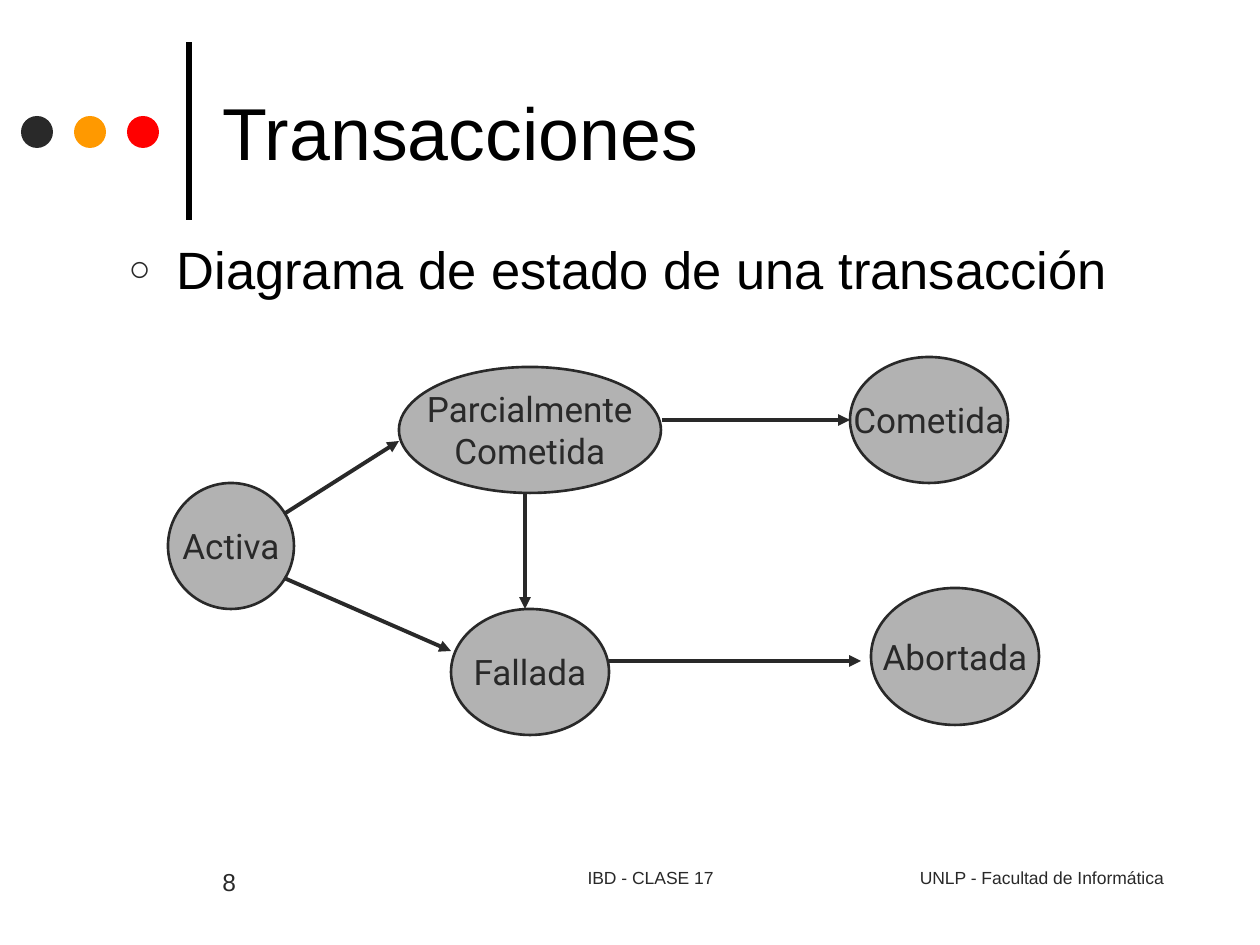
from dataclasses import dataclass

from lxml import etree
from pptx import Presentation
from pptx import util as u
from pptx.dml.color import RGBColor
from pptx.enum import shapes, text
from pptx.oxml.ns import qn

EMU_PER_PX = 914400 / 126

BLACK = RGBColor(0x00, 0x00, 0x00)
CHARCOAL = RGBColor(0x29, 0x29, 0x29)
ORANGE = RGBColor(0xFF, 0x99, 0x00)
RED = RGBColor(0xFF, 0x00, 0x00)
GREY = RGBColor(0xB2, 0xB2, 0xB2)

LEFT, CENTER, RIGHT = text.PP_ALIGN.LEFT, text.PP_ALIGN.CENTER, text.PP_ALIGN.RIGHT


@dataclass(frozen=True)
class State:
    label: str
    left: int
    top: int
    width: int
    height: int


@dataclass(frozen=True)
class Transition:
    start: tuple[int, int]
    end: tuple[int, int]


@dataclass(frozen=True)
class FooterItem:
    wording: str
    left: int
    width: int
    size: int
    align: text.PP_ALIGN


STATES = [
    State("Activa", 168, 483, 126, 126),
    State("Fallada", 451, 609, 158, 126),
    State("Abortada", 871, 588, 168, 137),
    State("Parcialmente\nCometida", 399, 367, 262, 126),
    State("Cometida", 850, 357, 158, 126),
]
TRANSITIONS = [
    Transition((284, 514), (399, 441)),
    Transition((662, 420), (850, 420)),
    Transition((525, 494), (525, 609)),
    Transition((284, 578), (451, 651)),
    Transition((609, 661), (861, 661)),
]
FOOTER = [
    FooterItem("IBD - CLASE 17", 451, 399, 10, CENTER),
    FooterItem("8", 210, 179, 14, LEFT),
    FooterItem("UNLP - Facultad de Informática", 838, 338, 10, RIGHT),
]


def px(length: int) -> int:
    return round(length * EMU_PER_PX)


def place(item, left: int, top: int, width: int, height: int) -> None:
    item.left, item.top = px(left), px(top)
    item.width, item.height = px(width), px(height)


def write(frame, wording: str, font: str, size: int, color: RGBColor, align) -> None:
    frame.text = wording
    for paragraph in frame.paragraphs:
        paragraph.alignment = align
        for run in paragraph.runs:
            run.font.name = font
            run.font.size = u.Pt(size)
            run.font.color.rgb = color


def draw_ellipse(slide, left: int, top: int, width: int, height: int, fill: RGBColor):
    ellipse = slide.shapes.add_shape(
        shapes.MSO_SHAPE.OVAL, px(left), px(top), px(width), px(height))
    ellipse.shadow.inherit = False
    ellipse.fill.solid()
    ellipse.fill.fore_color.rgb = fill
    ellipse.line.fill.background()
    return ellipse


def draw_line(slide, start: tuple[int, int], end: tuple[int, int],
              color: RGBColor, width: float):
    line = slide.shapes.add_connector(
        shapes.MSO_CONNECTOR.STRAIGHT, *map(px, start), *map(px, end))
    line.line.color.rgb = color
    line.line.width = u.Pt(width)
    etree.SubElement(line._element.spPr, qn("a:effectLst"))
    return line


def draw_state(slide, state: State) -> None:
    ellipse = draw_ellipse(
        slide, state.left, state.top, state.width, state.height, GREY)
    ellipse.line.color.rgb = CHARCOAL
    ellipse.line.width = u.Pt(1.5)
    frame = ellipse.text_frame
    frame.word_wrap = False
    frame.vertical_anchor = text.MSO_ANCHOR.MIDDLE
    write(frame, state.label, "Roboto", 20, CHARCOAL, CENTER)


def draw_transition(slide, transition: Transition) -> None:
    arrow = draw_line(slide, transition.start, transition.end, CHARCOAL, 2.25)
    etree.SubElement(arrow.line._get_or_add_ln(), qn("a:tailEnd"), type="triangle")


def draw_footer_item(slide, item: FooterItem) -> None:
    box = slide.shapes.add_textbox(px(item.left), px(861), px(item.width), px(63))
    box.text_frame.word_wrap = True
    write(box.text_frame, item.wording, "Arial", item.size, CHARCOAL, item.align)


def add_ring_bullet(paragraph) -> None:
    properties = paragraph._p.get_or_add_pPr()
    properties.set("marL", str(px(48)))
    properties.set("indent", str(-px(48)))
    bullet_color = etree.SubElement(properties, qn("a:buClr"))
    etree.SubElement(bullet_color, qn("a:srgbClr"), val=str(CHARCOAL))
    etree.SubElement(properties, qn("a:buSzPct"), val="70000")
    etree.SubElement(properties, qn("a:buFont"), typeface="Arial")
    etree.SubElement(properties, qn("a:buChar"), char="○")


def main() -> None:
    deck = Presentation()
    deck.slide_width, deck.slide_height = px(1260), px(945)
    slide = deck.slides.add_slide(deck.slide_layouts[1])

    # Title decoration: vertical rule and three dots
    draw_line(slide, (189, 220), (189, 42), BLACK, 3)
    for index, color in enumerate((CHARCOAL, ORANGE, RED)):
        draw_ellipse(slide, 21 + 53 * index, 116, 32, 32, color)

    # Title and subject
    title, subject = slide.placeholders
    place(title, 210, 26, 966, 210)
    title.text_frame.auto_size = text.MSO_AUTO_SIZE.NONE
    title.text_frame.vertical_anchor = text.MSO_ANCHOR.MIDDLE
    write(title.text_frame, "Transacciones", "Arial", 42, BLACK, LEFT)

    place(subject, 116, 231, 1061, 567)
    subject.text_frame.auto_size = text.MSO_AUTO_SIZE.NONE
    write(subject.text_frame, "Diagrama de estado de una transacción",
          "Arial", 30, BLACK, LEFT)
    subject_line = subject.text_frame.paragraphs[0]
    subject_line.space_before = u.Pt(7.5)
    add_ring_bullet(subject_line)

    # State diagram
    for state in STATES:
        draw_state(slide, state)
    for transition in TRANSITIONS:
        draw_transition(slide, transition)

    # Footer
    for item in FOOTER:
        draw_footer_item(slide, item)

    deck.save("out.pptx")


if __name__ == "__main__":
    main()
